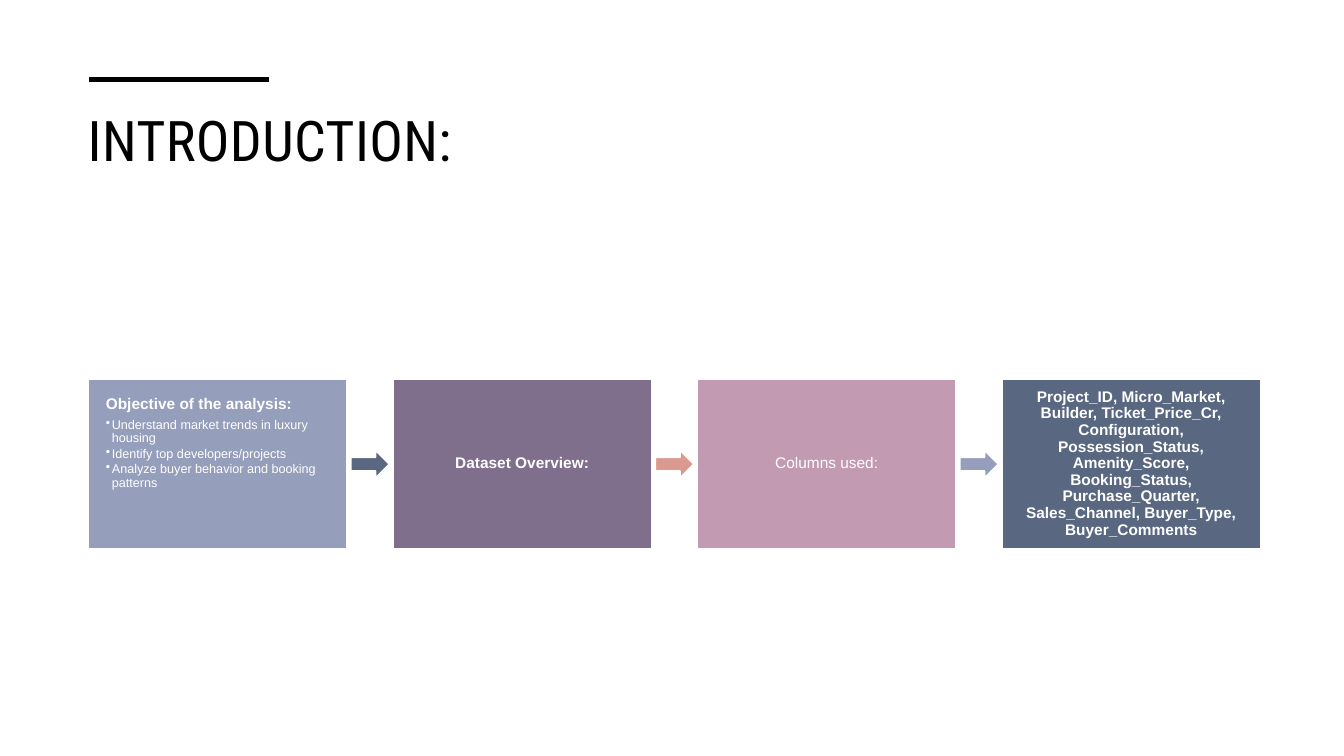
from lxml import etree
from pptx import Presentation
from pptx.dml.color import RGBColor
from pptx.enum.shapes import MSO_CONNECTOR, MSO_SHAPE
from pptx.enum.text import MSO_ANCHOR, PP_ALIGN
from pptx.oxml.ns import qn
from pptx.util import Inches, Pt

BLACK = RGBColor(0x00, 0x00, 0x00)
WHITE = RGBColor(0xFF, 0xFF, 0xFF)
BLUE = RGBColor(0x95, 0x9E, 0xBB)
PLUM = RGBColor(0x7F, 0x6E, 0x8C)
PINK = RGBColor(0xC2, 0x9A, 0xB1)
SLATE = RGBColor(0x59, 0x67, 0x81)
CORAL = RGBColor(0xDB, 0x9A, 0x8F)

GOALS = [
    "Understand market trends in luxury housing",
    "Identify top developers/projects",
    "Analyze buyer behavior and booking patterns",
]
FIELDS = (
    "Project_ID, Micro_Market, Builder, Ticket_Price_Cr, Configuration, "
    "Possession_Status, Amenity_Score, Booking_Status, Purchase_Quarter, "
    "Sales_Channel, Buyer_Type, Buyer_Comments"
)
# heading, bold, bullets, box colour, colour of the arrow that follows
STEPS = [
    ("Objective of the analysis:", True, GOALS, BLUE, SLATE),
    ("Dataset Overview:", True, [], PLUM, CORAL),
    ("Columns used:", False, [], PINK, BLUE),
    (FIELDS, True, [], SLATE, None),
]
LEFT, STEP = 0.88, 3.02


def add_block(kind, x, y, w, h, color):
    block = slide.shapes.add_shape(kind, Inches(x), Inches(y), Inches(w), Inches(h))
    block.shadow.inherit = False
    block.fill.solid()
    block.fill.fore_color.rgb = color
    block.line.color.rgb = WHITE
    block.line.width = Pt(1)
    return block


def style(para, text, size, bold, after):
    para.line_spacing = 0.9
    para.space_after = Pt(after)
    run = para.add_run()
    run.text = text
    font = run.font
    for name, value in {"name": "Arial", "size": Pt(size), "bold": bold}.items():
        setattr(font, name, value)
    font.color.rgb = WHITE


prs = Presentation()
prs.slide_width, prs.slide_height = Inches(13.33), Inches(7.5)
slide = prs.slides.add_slide(prs.slide_layouts[5])

title = slide.shapes.title
place = {"left": 0.77, "top": 1, "width": 11.81, "height": 1.15}
for name, value in place.items():
    setattr(title, name, Inches(value))
frame = title.text_frame
frame.vertical_anchor = MSO_ANCHOR.TOP
para = frame.paragraphs[0]
para.alignment = PP_ALIGN.LEFT
run = para.add_run()
run.text = "INTRODUCTION:"
run.font.name = "Roboto Condensed"
run.font.size = Pt(40)
run.font.color.rgb = BLACK
run.font._element.set("spc", "30")

rule = slide.shapes.add_connector(
    MSO_CONNECTOR.STRAIGHT, Inches(LEFT), Inches(0.79), Inches(2.67), Inches(0.79)
)
rule.line.color.rgb = BLACK
rule.line.width = Pt(3.5)
etree.SubElement(rule._element.spPr, qn("a:effectLst"))

for i, (head, bold, goals, color, next_color) in enumerate(STEPS):
    x = LEFT + i * STEP
    box = add_block(MSO_SHAPE.RECTANGLE, x, 3.76, 2.56, 1.68, color)
    frame = box.text_frame
    frame.word_wrap = True
    frame.vertical_anchor = MSO_ANCHOR.TOP if goals else MSO_ANCHOR.MIDDLE
    for side in ("left", "top", "right", "bottom"):
        setattr(frame, f"margin_{side}", Inches(0.17))
    para = frame.paragraphs[0]
    para.alignment = PP_ALIGN.LEFT if goals else PP_ALIGN.CENTER
    style(para, head, 11, bold, 3.85)

    for goal in goals:
        para = frame.add_paragraph()
        para.level = 1
        para.alignment = PP_ALIGN.LEFT
        style(para, goal, 9, False, 1.35)
        props = para._p.get_or_add_pPr()
        props.set("marL", str(Inches(0.06)))
        props.set("indent", str(-Inches(0.06)))
        etree.SubElement(props, qn("a:buChar")).set("char", "•")

    if next_color:
        add_block(MSO_SHAPE.RIGHT_ARROW, x + 2.6, 4.47, 0.38, 0.27, next_color)

prs.save("out.pptx")
